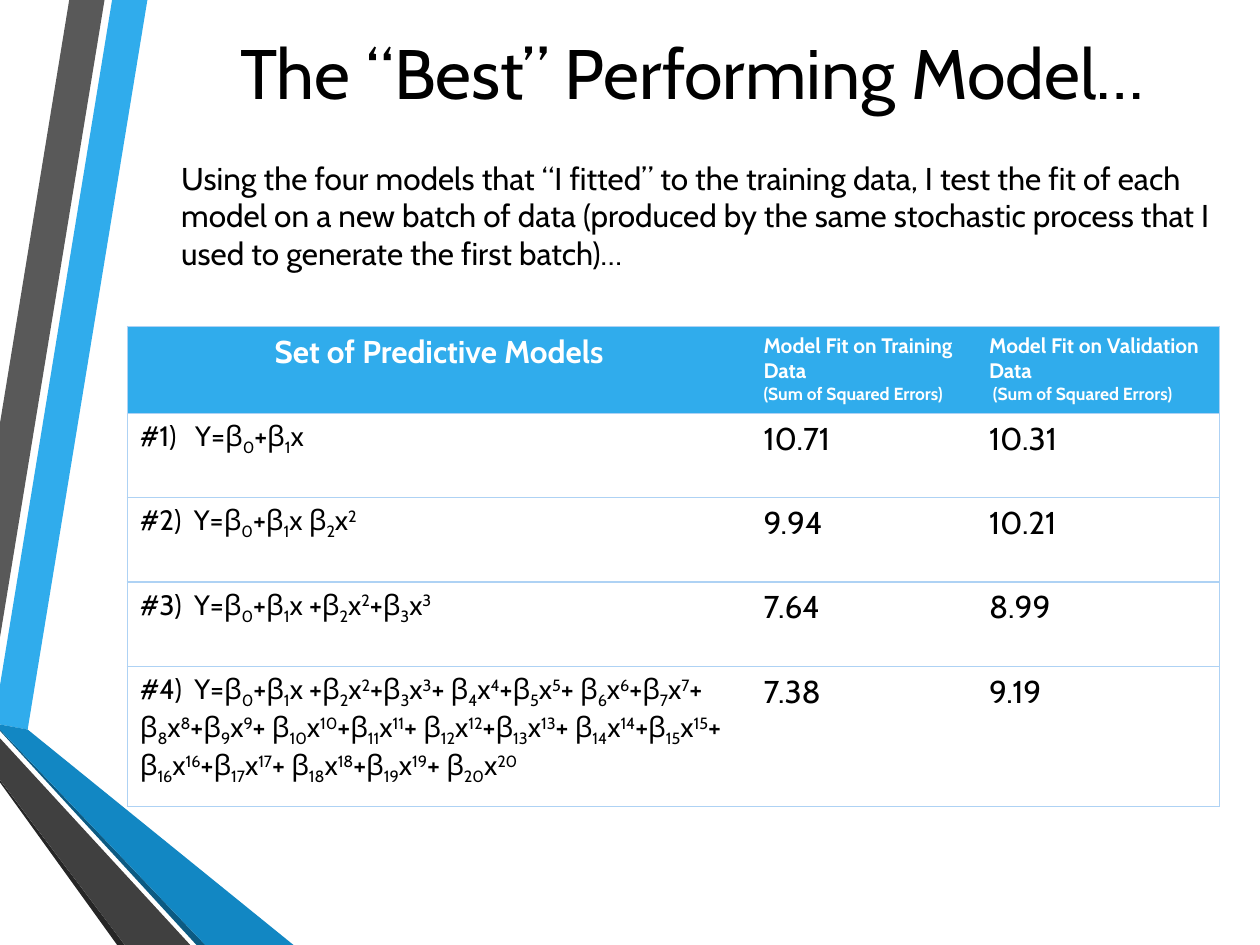
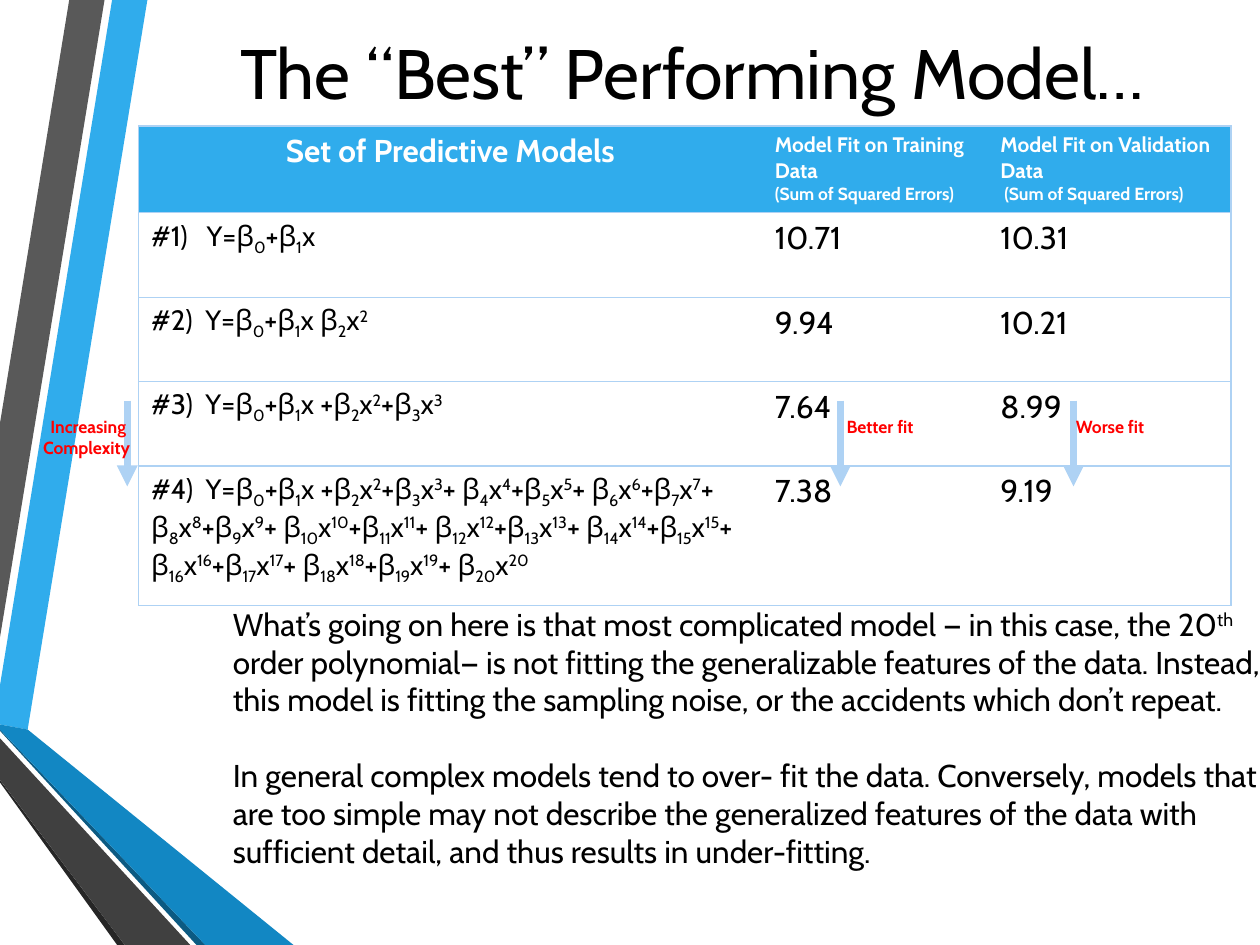
from lxml import etree
from pptx import Presentation
from pptx.dml.color import RGBColor
from pptx.enum.shapes import MSO_CONNECTOR
from pptx.enum.text import MSO_ANCHOR, MSO_AUTO_SIZE, PP_ALIGN
from pptx.oxml.ns import qn
from pptx.util import Inches, Pt

LEFT, MID, RIGHT = PP_ALIGN.LEFT, PP_ALIGN.CENTER, PP_ALIGN.RIGHT
TOP, CENTRE = MSO_ANCHOR.TOP, MSO_ANCHOR.MIDDLE
GROW, FIXED = MSO_AUTO_SIZE.SHAPE_TO_FIT_TEXT, MSO_AUTO_SIZE.NONE
STRAIGHT = MSO_CONNECTOR.STRAIGHT

COLORS = {
    "text": "000000", "white": "FFFFFF", "note": "FF0000",
    "blue": "30ACEC", "gray": "595959", "black": "262626",
    "navy": "0C5A82", "ocean": "1287C3", "coal": "404040",
    "pale": "AED2F4",
}
FONT = "Cabin"
SUB, SUP = -25, 30

BANDS = [
    ("blue", [(0, 5.44), (0, 5.75), (0.22, 5.79), (1.17, 0), (0.89, 0)]),
    ("gray", [(0.83, 0), (0.55, 0), (0, 3.36), (0, 5.06)]),
    ("black", [(0, 6.19), (0, 6.21), (0.93, 7.5), (0.99, 7.5)]),
    ("navy", [(0, 5.79), (0, 5.8), (1.56, 7.5), (1.63, 7.5)]),
    ("ocean", [(0, 5.79), (1.63, 7.5), (2.33, 7.5), (0.22, 5.79), (0, 5.75)]),
    ("coal", [(0, 6.19), (0.99, 7.5), (1.51, 7.5), (0, 5.86)]),
]

TITLE = "The “Best” Performing Model… "
INTRO = ("Using the four models that “I fitted” to the training data, I test "
         "the fit of each model on a new batch of data (produced by the same "
         "stochastic process that I used to generate the first batch)…")
NOISE = [
    "What’s going on here is that most complicated model — in this case, the 20",
    ("th", SUP),
    " order polynomial— is not fitting the generalizable features of the data. "
    "Instead, this model is fitting the sampling noise, or the accidents which "
    "don’t repeat.",
]
OVERFIT = ("In general complex models tend to over- fit the data. Conversely, "
           "models that are too simple may not describe the generalized features "
           "of the data with sufficient detail, and thus results in under-fitting.")

COLS = [4.95, 1.79, 1.93]
ROWS = [0.69, 0.67, 0.67, 0.67, 1.11]
FITS = [("Model Fit on Training Data", "(Sum of Squared Errors)"),
        ("Model Fit on Validation Data", " (Sum of Squared Errors)")]
MODELS = [  # lead, degree, joint before the square term, training, validation
    ("#1)   Y=β", 1, "", "10.71", "10.31"),
    ("#2)  Y=β", 2, " β", "9.94", "10.21"),
    ("#3)  Y=β", 3, " +β", "7.64", "8.99"),
    ("#4)  Y=β", 20, " +β", "7.38", "9.19"),
]


def poly(lead, degree, square):
    """Runs of a polynomial, with subscripts and powers."""
    runs = [lead, ("0", SUB)]
    for n in range(1, degree + 1):
        joint = square if n == 2 else "+β" if n % 2 else "+ β"
        runs += [joint, (str(n), SUB), "x"]
        if n > 1:
            runs.append((str(n), SUP))
    return runs


def rgb(name):
    return RGBColor.from_string(COLORS[name])


def edge(cell, side, shown):
    """Draw or clear one border of a cell."""
    line = etree.SubElement(cell._tc.get_or_add_tcPr(), qn(f"a:ln{side}"), w=str(Pt(0.75)))
    if shown:
        fill = etree.SubElement(line, qn("a:solidFill"))
        etree.SubElement(fill, qn("a:srgbClr"), val=COLORS["pale"])
    else:
        etree.SubElement(line, qn("a:noFill"))


class Deck:
    def __init__(self):
        self.prs = Presentation()
        self.prs.slide_width, self.prs.slide_height = Inches(10), Inches(7.5)
        self.slide = None

    def start(self):
        """Add a slide with the side bands and the title."""
        self.slide = self.prs.slides.add_slide(self.prs.slide_layouts[6])
        for color, points in BANDS:
            self.band(color, points)
        self.text((1.34, -0.52, 8.43, 2.17), [TITLE], size=40, align=MID,
                  vertical_anchor=CENTRE, auto_size=FIXED)

    def band(self, color, points):
        spots = [(Inches(x), Inches(y)) for x, y in points]
        pen = self.slide.shapes.build_freeform(*spots[0])
        pen.add_line_segments(spots[1:], close=True)
        shape = pen.convert_to_shape()
        shape.shadow.inherit = False
        shape.fill.solid()
        shape.fill.fore_color.rgb = rgb(color)
        shape.line.fill.background()

    def para(self, par, runs, size=18, color="text", bold=False, align=LEFT):
        par.alignment = align
        look = {"name": FONT, "size": Pt(size), "bold": bold}
        for item in [runs] if isinstance(runs, str) else runs:
            words, base = (item, 0) if isinstance(item, str) else item
            run = par.add_run()
            run.text = words
            for key, value in look.items():
                setattr(run.font, key, value)
            run.font.color.rgb = rgb(color)
            if base:
                run.font._element.set("baseline", str(base * 1000))

    def text(self, box, paras, gap=0, size=18, color="text", bold=False,
             align=LEFT, **frame):
        body = self.slide.shapes.add_textbox(*map(Inches, box)).text_frame
        look = {"word_wrap": True, "auto_size": GROW, "vertical_anchor": TOP}
        for key, value in (look | frame).items():
            setattr(body, key, value)
        for i, runs in enumerate(paras):
            par = body.add_paragraph() if i else body.paragraphs[0]
            par.space_before = Pt(gap if i else 0)
            self.para(par, runs, size, color, bold, align)

    def label(self, box, lines, align=LEFT):
        self.text(box, lines, size=10, color="note", bold=True, align=align,
                  word_wrap=False)

    def table(self, left, top):
        """Add the table of models and their fits."""
        grid = self.slide.shapes.add_table(
            len(ROWS), len(COLS), Inches(left), Inches(top),
            Inches(sum(COLS)), Inches(sum(ROWS))).table
        grid.first_row = grid.horz_banding = False
        for col, width in zip(grid.columns, COLS):
            col.width = Inches(width)
        for row, height in zip(grid.rows, ROWS):
            row.height = Inches(height)
        for r in range(len(ROWS)):
            for c in range(len(COLS)):
                self.frame(grid.cell(r, c), r, c)

        head = {"color": "white", "bold": True}
        self.para(grid.cell(0, 0).text_frame.paragraphs[0],
                  "Set of Predictive Models", align=MID, **head)
        for c, (name, unit) in enumerate(FITS, 1):
            body = grid.cell(0, c).text_frame
            self.para(body.paragraphs[0], name, size=12, **head)
            self.para(body.add_paragraph(), unit, size=10, **head)
        for r, (lead, degree, square, *errors) in enumerate(MODELS, 1):
            self.para(grid.cell(r, 0).text_frame.paragraphs[0],
                      poly(lead, degree, square), size=16)
            for c, error in enumerate(errors, 1):
                self.para(grid.cell(r, c).text_frame.paragraphs[0], error)

    def frame(self, cell, r, c):
        """Set the borders and fill of a cell."""
        sides = {"L": c == 0, "R": c == len(COLS) - 1, "T": True, "B": True}
        for side, shown in sides.items():
            edge(cell, side, shown)
        if r:
            cell.fill.background()
        else:
            cell.fill.solid()
            cell.fill.fore_color.rgb = rgb("blue")

    def arrow(self, x, top, end):
        line = self.slide.shapes.add_connector(
            STRAIGHT, Inches(x), Inches(top), Inches(x), Inches(end))
        line.line.width = Pt(4)
        line.line.color.rgb = rgb("pale")
        etree.SubElement(line.line._get_or_add_ln(), qn("a:tailEnd"), type="triangle")
        etree.SubElement(line._element.spPr, qn("a:effectLst"))


def main():
    deck = Deck()

    deck.start()
    deck.text((1.34, 1.21, 8.43, 1.01), [INTRO])
    deck.table(1.01, 2.59)

    deck.start()
    deck.text((1.75, 4.75, 8.43, 2.22), [NOISE, OVERFIT], gap=21.6)
    deck.table(1.1, 1)
    for x in (6.67, 8.52, 1.01):
        deck.arrow(x, 3.18, 3.86)
    deck.label((6.62, 3.25, 0.75, 0.27), ["Better fit"])
    deck.label((8.44, 3.25, 0.75, 0.27), ["Worse fit"])
    deck.label((0.23, 3.25, 0.9, 0.44), ["Increasing ", "Complexity"], RIGHT)

    deck.prs.save("out.pptx")


if __name__ == "__main__":
    main()
